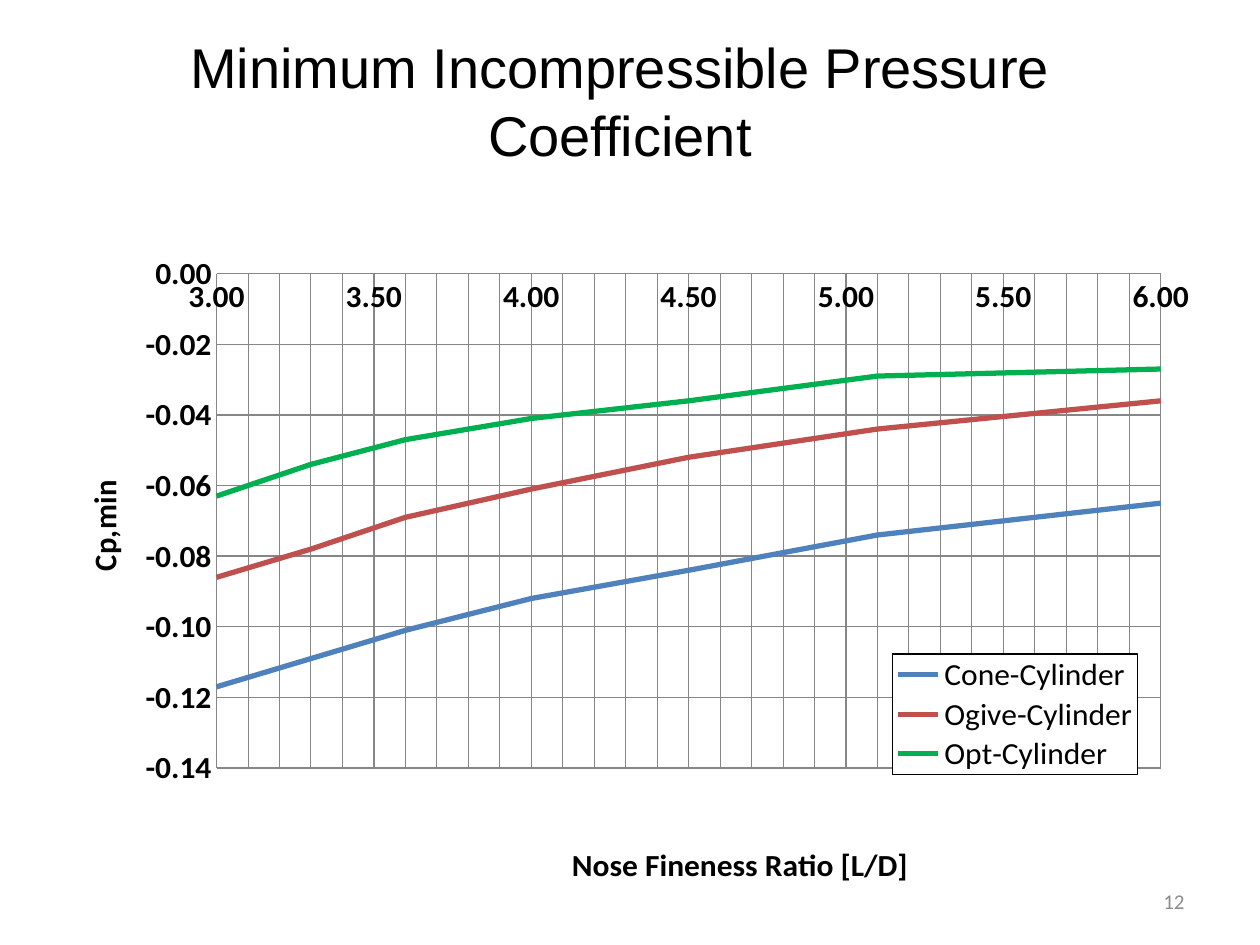
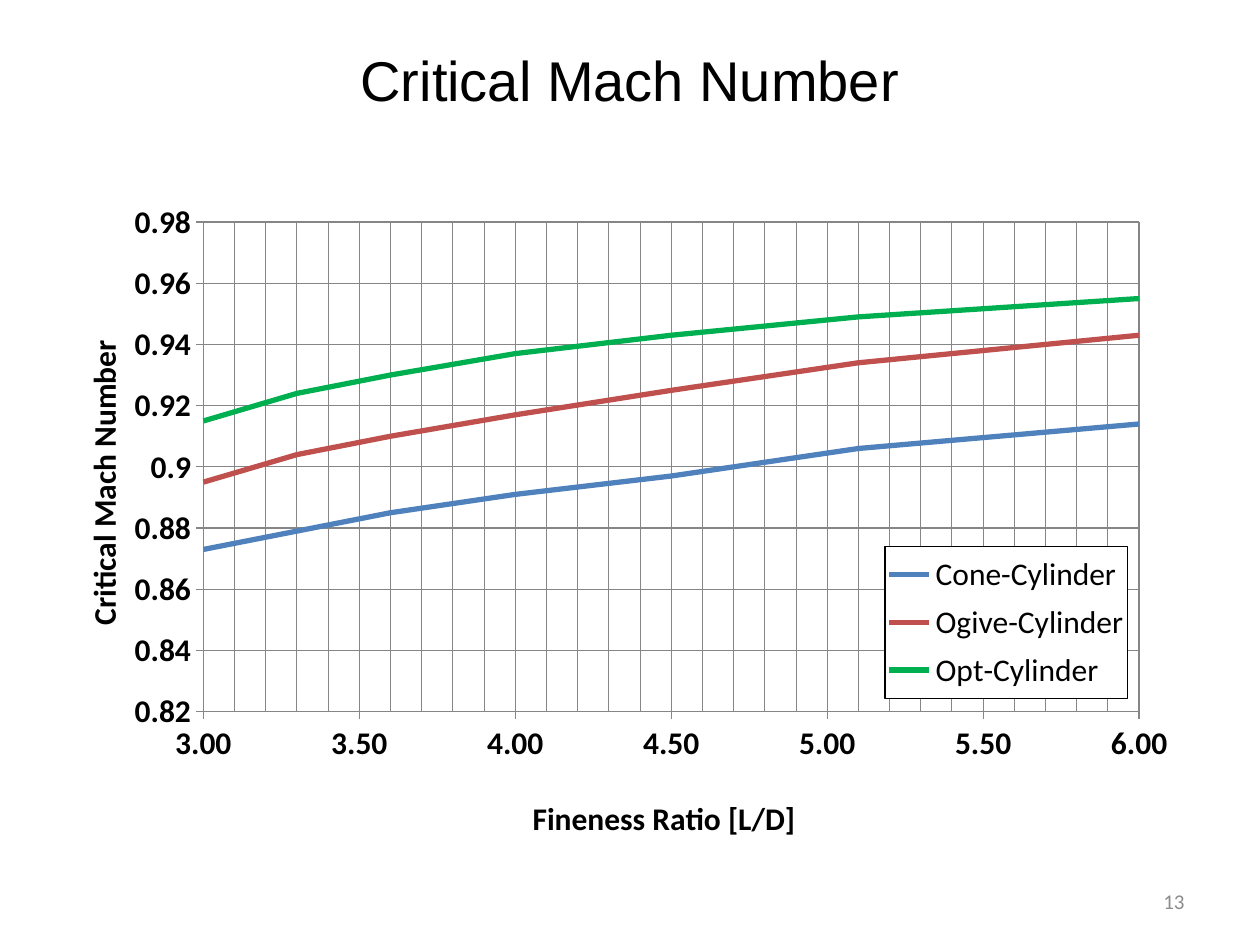
from lxml import etree
from pptx import Presentation
from pptx.chart.data import XyChartData
from pptx.dml.color import RGBColor
from pptx.enum.chart import XL_CHART_TYPE, XL_LEGEND_POSITION, XL_MARKER_STYLE, XL_TICK_MARK
from pptx.enum.text import MSO_ANCHOR, PP_ALIGN
from pptx.oxml import parse_xml
from pptx.oxml.ns import nsdecls, qn
from pptx.util import Cm, Pt

COLORS = {
    "text": "000000",
    "number": "8C8C8C",
    "grid": "868686",
    "legend": "FFFFFF",
    "Cone-Cylinder": "4F81BD",
    "Ogive-Cylinder": "C0504D",
    "Opt-Cylinder": "00B050",
}
FINENESS = (3, 3.3, 3.6, 4, 4.5, 5.1, 6)

PRESSURE = {
    "Cone-Cylinder": (-0.117, -0.109, -0.101, -0.092, -0.084, -0.074, -0.065),
    "Ogive-Cylinder": (-0.086, -0.078, -0.069, -0.061, -0.052, -0.044, -0.036),
    "Opt-Cylinder": (-0.063, -0.054, -0.047, -0.041, -0.036, -0.029, -0.027),
}
MACH = {
    "Cone-Cylinder": (0.873, 0.879, 0.885, 0.891, 0.897, 0.906, 0.914),
    "Ogive-Cylinder": (0.895, 0.904, 0.91, 0.917, 0.925, 0.934, 0.943),
    "Opt-Cylinder": (0.915, 0.924, 0.93, 0.937, 0.943, 0.949, 0.955),
}


def rgb(name):
    return RGBColor.from_string(COLORS[name])


def fill_xml(color):
    return f'<a:solidFill><a:srgbClr val="{COLORS[color]}"/></a:solidFill>'


def format_xml(line, width, fill=""):
    """Shape properties for chart parts without a format object."""
    return parse_xml(f'<c:spPr {nsdecls("c", "a")}>{fill}'
                     f'<a:ln w="{Pt(width)}">{fill_xml(line)}</a:ln></c:spPr>')


def place(element, index, x, y, w=None, h=None, inner=False):
    """Give a chart part a fixed place, in fractions of the chart."""
    for old in element.findall(qn("c:layout")):
        element.remove(old)
    layout = etree.Element(qn("c:layout"))
    manual = etree.SubElement(layout, qn("c:manualLayout"))
    settings = [("xMode", "edge"), ("yMode", "edge"), ("x", x), ("y", y)]
    if inner:
        settings.insert(0, ("layoutTarget", "inner"))
    if w:
        settings += [("w", w), ("h", h)]
    for tag, value in settings:
        etree.SubElement(manual, qn(f"c:{tag}")).set("val", str(value))
    element.insert(index, layout)


class Deck:
    title_font, body_font = "Arial", "Calibri"

    def __init__(self):
        self.prs = Presentation()
        self.prs.slide_width, self.prs.slide_height = Cm(25.4), Cm(19.05)
        self.s = None

    def style(self, font, size, color="text", name=None, bold=False):
        font.size, font.bold = Pt(size), bold
        font.name = name or self.body_font
        font.color.rgb = rgb(color)

    def slide(self, title, left, top, number):
        self.s = self.prs.slides.add_slide(self.prs.slide_layouts[5])
        sp = self.s.shapes.title
        sp.left, sp.top, sp.width, sp.height = Cm(left), Cm(top), Cm(22.86), Cm(3.18)
        self.text(sp, title, PP_ALIGN.CENTER, 32, name=self.title_font)
        box = self.s.shapes.add_textbox(Cm(18.21), Cm(17.65), Cm(5.92), Cm(1.02))
        self.text(box, number, PP_ALIGN.RIGHT, 12, "number")

    def text(self, sp, text, align, size, color="text", name=None):
        tf = sp.text_frame
        tf.word_wrap, tf.vertical_anchor = True, MSO_ANCHOR.MIDDLE
        tf.text = text
        p = tf.paragraphs[0]
        p.alignment = align
        self.style(p.runs[0].font, size, color, name)

    def axis(self, axis, title, limits, unit, tick, number_format):
        axis.minimum_scale, axis.maximum_scale = limits
        axis.major_unit = unit
        axis.major_tick_mark, axis.minor_tick_mark = tick, XL_TICK_MARK.NONE
        axis.has_major_gridlines = True
        for line in (axis.format.line, axis.major_gridlines.format.line):
            self.line(line, "grid", 0.75)
        labels = axis.tick_labels
        labels.number_format, labels.number_format_is_linked = number_format, False
        self.style(labels.font, 18, bold=True)
        tf = axis.axis_title.text_frame
        tf.text = title
        self.style(tf.paragraphs[0].runs[0].font, 18, bold=True)

    def line(self, line, color, width):
        line.color.rgb, line.width = rgb(color), Pt(width)

    def chart(self, box, curves, x_title, y_title, y_limits, y_format, tick, places):
        data = XyChartData()
        for name, values in curves.items():
            series = data.add_series(name)
            for x, y in zip(FINENESS, values):
                series.add_data_point(x, y)
        chart = self.s.shapes.add_chart(
            XL_CHART_TYPE.XY_SCATTER_SMOOTH_NO_MARKERS, *map(Cm, box), data).chart
        chart.has_title = False
        self.style(chart.font, 10)
        chart.plots[0].vary_by_categories = False

        # Curves
        for series in chart.plots[0].series:
            series.smooth = True
            series.marker.style = XL_MARKER_STYLE.NONE
            self.line(series.format.line, series.name, 3)

        # Axes, with fine vertical gridlines every 0.1
        x_axis, y_axis = chart.category_axis, chart.value_axis
        self.axis(x_axis, x_title, (3, 6), 0.5, tick, "0.00")
        self.axis(y_axis, y_title, y_limits, 0.02, tick, y_format)
        x_axis.minor_unit = 0.1
        x_axis.has_minor_gridlines = True
        chart.element.xpath(".//c:minorGridlines")[0].append(format_xml("grid", 0.5))

        # Framed legend over the plot
        chart.has_legend = True
        chart.legend.position = XL_LEGEND_POSITION.RIGHT
        chart.legend.include_in_layout = True
        self.style(chart.legend.font, 18)
        legend = chart.element.xpath(".//c:legend")[0]
        legend.find(qn("c:txPr")).addprevious(format_xml("text", 0.75, fill_xml("legend")))

        # Places of the chart parts
        x_name, y_name = chart.element.xpath(".//c:valAx/c:title")
        body = y_name.xpath(".//a:bodyPr")[0]
        body.set("rot", "-5400000")
        body.set("vert", "horz")
        place(chart.element.xpath(".//c:plotArea")[0], 0, *places["plot"], inner=True)
        place(legend, 1, *places["legend"])
        place(x_name, 1, *places["x"])
        place(y_name, 1, *places["y"])


def main():
    deck = Deck()

    # Pressure coefficient
    deck.slide("Minimum Incompressible Pressure Coefficient", 1.07, 0.43, "12")
    deck.chart((0.84, 4.88, 23.5, 13.13), PRESSURE,
               "Nose Fineness Ratio [L/D]", "Cp,min", (-0.14, 0), "0.00",
               XL_TICK_MARK.NONE,
               {"plot": (0.15, 0.05, 0.81, 0.78),
                "legend": (0.73, 0.65, 0.21, 0.19),
                "x": (0.45, 0.94), "y": (0.03, 0.37)})

    # Critical Mach number
    deck.slide("Critical Mach Number", 1.27, 0, "13")
    deck.chart((0.84, 3.81, 23.29, 13.34), MACH,
               "Fineness Ratio [L/D]", "Critical Mach Number", (0.82, 0.98), "General",
               XL_TICK_MARK.OUTSIDE,
               {"plot": (0.14, 0.05, 0.81, 0.74),
                "legend": (0.73, 0.54, 0.21, 0.23),
                "x": (0.42, 0.91), "y": (0.03, 0.22)})

    deck.prs.save("out.pptx")


if __name__ == "__main__":
    main()
